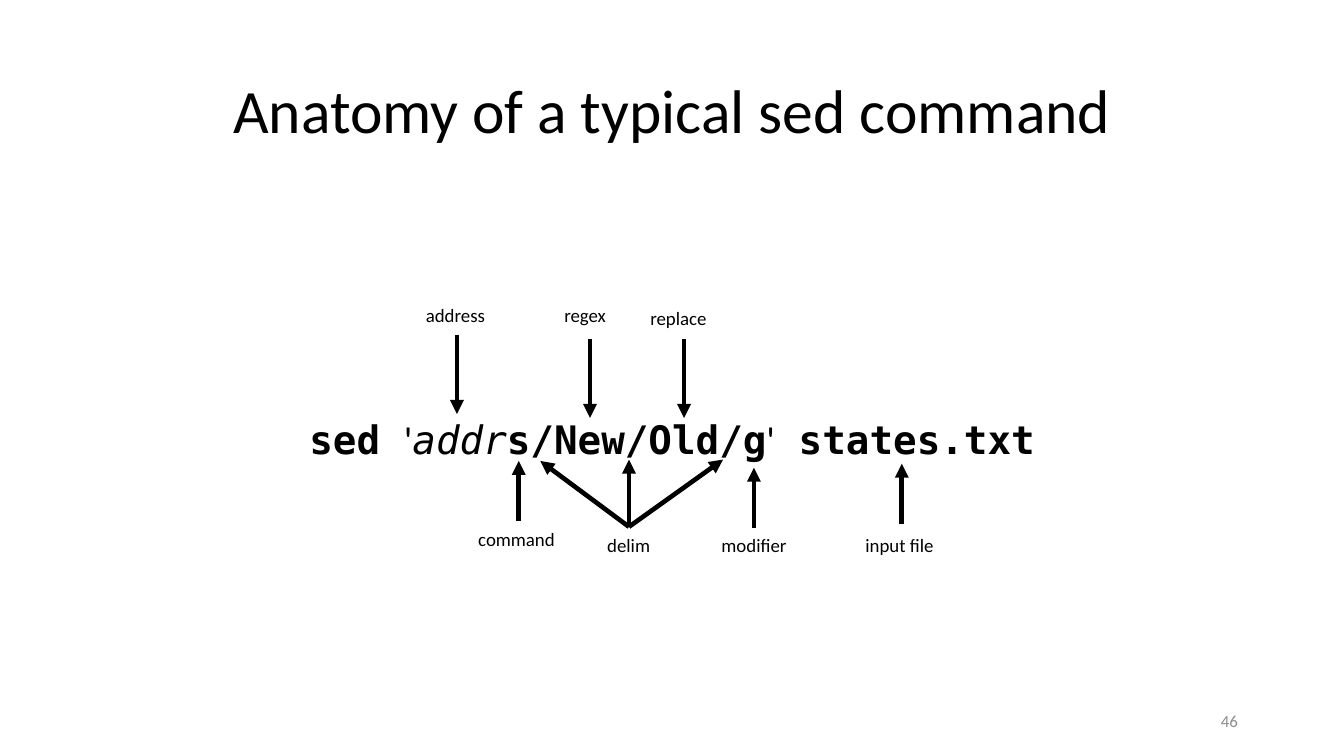
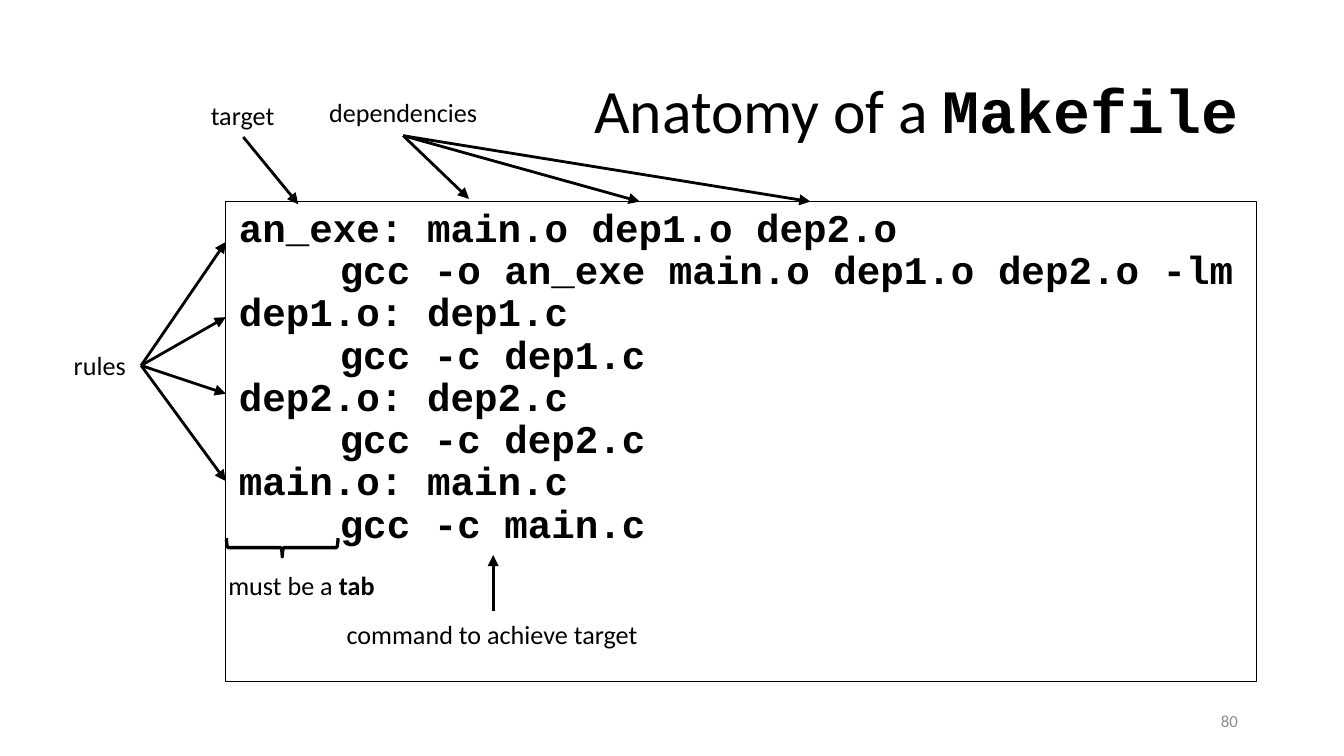
"""Build two slides that dissect a sed command and a Makefile."""
from typing import NamedTuple

from lxml.etree import SubElement as sub
from pptx import Presentation
from pptx.dml.color import RGBColor
from pptx.enum.shapes import MSO_CONNECTOR as Conn, MSO_SHAPE as Form
from pptx.enum.text import MSO_ANCHOR as Anchor, MSO_AUTO_SIZE as Auto, PP_ALIGN as Align
from pptx.oxml.ns import qn
from pptx.shapes.autoshape import Shape
from pptx.slide import Slide
from pptx.util import Emu, Pt

PX = 9144
WIDE = 1000
INK = {"text": "000000", "page": "8C8C8C"}
SANS, MONO, CODE = "Calibri", "DejaVu Sans Mono", "Courier New"


class Box(NamedTuple):
    """A place on the slide, in px."""
    x: int
    y: int
    w: int
    h: int


class Span(NamedTuple):
    """A stretch of text in one style."""
    text: str
    font: str = SANS
    bold: bool = False
    slant: bool = False


class Label(NamedTuple):
    """A short note with its place."""
    x: int
    y: int
    w: int
    spans: list[Span]


class Fan(NamedTuple):
    """Arrows that leave one point for several tips."""
    x: int
    y: int
    tips: list[tuple[int, int]]


TITLE = Box(69, 30, 862, 109)
BODY = Box(69, 150, 862, 357)
FILE = Box(168, 150, 767, 357)
PAGE = Box(706, 521, 225, 30)
BRACE = Box(203, 366, 14, 83)
TAB = 75

SED = [
    Span("sed ", MONO, bold=True),
    Span("'"),
    Span("addr", MONO, slant=True),
    Span("s/New/Old/g", MONO, bold=True),
    Span("'"),
    Span(" states.txt", MONO, bold=True),
]
PARTS = [
    Label(307, 221, 65, [Span("address")]),
    Label(410, 221, 52, [Span("regex")]),
    Label(474, 223, 63, [Span("replace")]),
    Label(346, 388, 78, [Span("command")]),
    Label(442, 392, 53, [Span("delim")]),
    Label(527, 392, 70, [Span("modifier")]),
    Label(634, 392, 72, [Span("input file")]),
]
DROP, RISE = 59, -45
STEMS = [(340, 249, DROP), (439, 252, DROP), (509, 252, DROP),
         (386, 388, RISE), (561, 393, RISE), (671, 390, RISE)]
DELIM = Fan(468, 392, [(402, 343), (468, 342), (538, 342)])

RULES = [
    ("an_exe: main.o dep1.o dep2.o", "gcc -o an_exe main.o dep1.o dep2.o -lm"),
    ("dep1.o: dep1.c", "gcc -c dep1.c"),
    ("dep2.o: dep2.c", "gcc -c dep2.c"),
    ("main.o: main.c", "gcc -c main.c"),
]
NOTES = [
    Label(45, 255, 59, [Span("rules")]),
    Label(147, 69, 68, [Span("target")]),
    Label(235, 67, 132, [Span("dependencies")]),
    Label(248, 455, 239, [Span("command to achieve target")]),
    Label(160, 419, 129, [Span("must be a "), Span("tab", bold=True)]),
]
FANS = [
    Fan(105, 272, [(FILE.x, y) for y in (180, 236, 293, 358)]),
    Fan(181, 102, [(222, 152)]),
    Fan(300, 101, [(349, 148), (476, 150), (603, 150)]),
    Fan(367, 455, [(367, 413)]),
]


def px(n: int) -> Emu:
    """Turn px into EMU."""
    return Emu(n * PX)


def hue(key: str) -> RGBColor:
    """Look up a colour by its use."""
    return RGBColor.from_string(INK[key])


def text(slide: Slide, box: Box, spans: list[Span], *, size: float = 21,
         ink: str = "text", align: Align = Align.LEFT, anchor: Anchor = Anchor.MIDDLE,
         wrap: bool = True, lead: float = 1.0, gap: float = 0) -> Shape:
    """Add a text box with one paragraph; a newline breaks the line."""
    shape = slide.shapes.add_textbox(*map(px, box))
    frame = shape.text_frame
    frame.word_wrap = wrap
    frame.auto_size = Auto.NONE if wrap else Auto.SHAPE_TO_FIT_TEXT
    frame.vertical_anchor = anchor
    para = frame.paragraphs[0]
    para.alignment, para.line_spacing, para.space_before = align, lead, Pt(gap)
    for span in spans:
        for i, line in enumerate(span.text.split("\n")):
            if i:
                para.add_line_break()
            run = para.add_run()
            run.text = line
            font = run.font
            font.name, font.size = span.font, Pt(size)
            font.bold, font.italic = span.bold, span.slant
            font.color.rgb = hue(ink)
    return shape


def label(slide: Slide, item: Label, size: float, high: int) -> None:
    """Add a note that does not wrap."""
    text(slide, Box(*item[:3], high), item.spans, size=size,
         anchor=Anchor.TOP, wrap=False)


def fan(slide: Slide, item: Fan, width: float) -> None:
    """Draw an arrow to each tip of a fan."""
    for tip in item.tips:
        line = slide.shapes.add_connector(
            Conn.STRAIGHT, *map(px, (item.x, item.y, *tip)))
        line.line.color.rgb = hue("text")
        line.line.width = Pt(width)
        sub(line.line._get_or_add_ln(), qn("a:tailEnd"), type="triangle")
        sub(line._element.spPr, qn("a:effectLst"))


def start(deck: Presentation, title: list[Span], page: int, align: Align) -> Slide:
    """Add a slide with its title and page number."""
    slide = deck.slides.add_slide(deck.slide_layouts[6])
    text(slide, TITLE, title, size=33, align=align, lead=0.9)
    text(slide, PAGE, [Span(str(page))], size=9, ink="page", align=Align.RIGHT)
    return slide


def sed(deck: Presentation) -> None:
    """Draw the sed slide."""
    slide = start(deck, [Span("Anatomy of a typical sed command")], 46, Align.CENTER)
    text(slide, BODY, SED, align=Align.CENTER, lead=0.9, gap=7.5)
    for item in PARTS:
        label(slide, item, 10.1, 27)
    for x, y, run in STEMS:
        fan(slide, Fan(x, y, [(x, y + run)]), 2.5)
    fan(slide, DELIM, 2.5)


def make(deck: Presentation) -> None:
    """Draw the Makefile slide."""
    title = [Span("Anatomy of a "), Span("Makefile", CODE, bold=True)]
    slide = start(deck, title, 80, Align.RIGHT)
    code = "\n".join(f"{head}\n\t{step}" for head, step in RULES)
    sheet = text(slide, FILE, [Span(code, CODE, bold=True)],
                 anchor=Anchor.TOP, lead=0.9, gap=7.5)
    sheet.line.color.rgb = hue("text")
    sheet.line.width = Pt(0.75)
    props = sheet.text_frame.paragraphs[0]._p.get_or_add_pPr()
    sub(sub(props, qn("a:tabLst")), qn("a:tab"), pos=str(px(TAB)), algn="l")
    for item in FANS:
        fan(slide, item, 1.5)
    for item in NOTES:
        label(slide, item, 14, 34)
    brace = slide.shapes.add_shape(Form.RIGHT_BRACE, *map(px, BRACE))
    brace.rotation = 90
    brace.shadow.inherit = False
    brace.fill.background()
    brace.line.color.rgb = hue("text")
    brace.line.width = Pt(1.75)


def main() -> None:
    """Build and save the deck at 16 to 9."""
    deck = Presentation()
    deck.slide_width = px(WIDE)
    deck.slide_height = Emu(px(WIDE) * 9 // 16)
    sed(deck)
    make(deck)
    deck.save("out.pptx")


if __name__ == "__main__":
    main()
